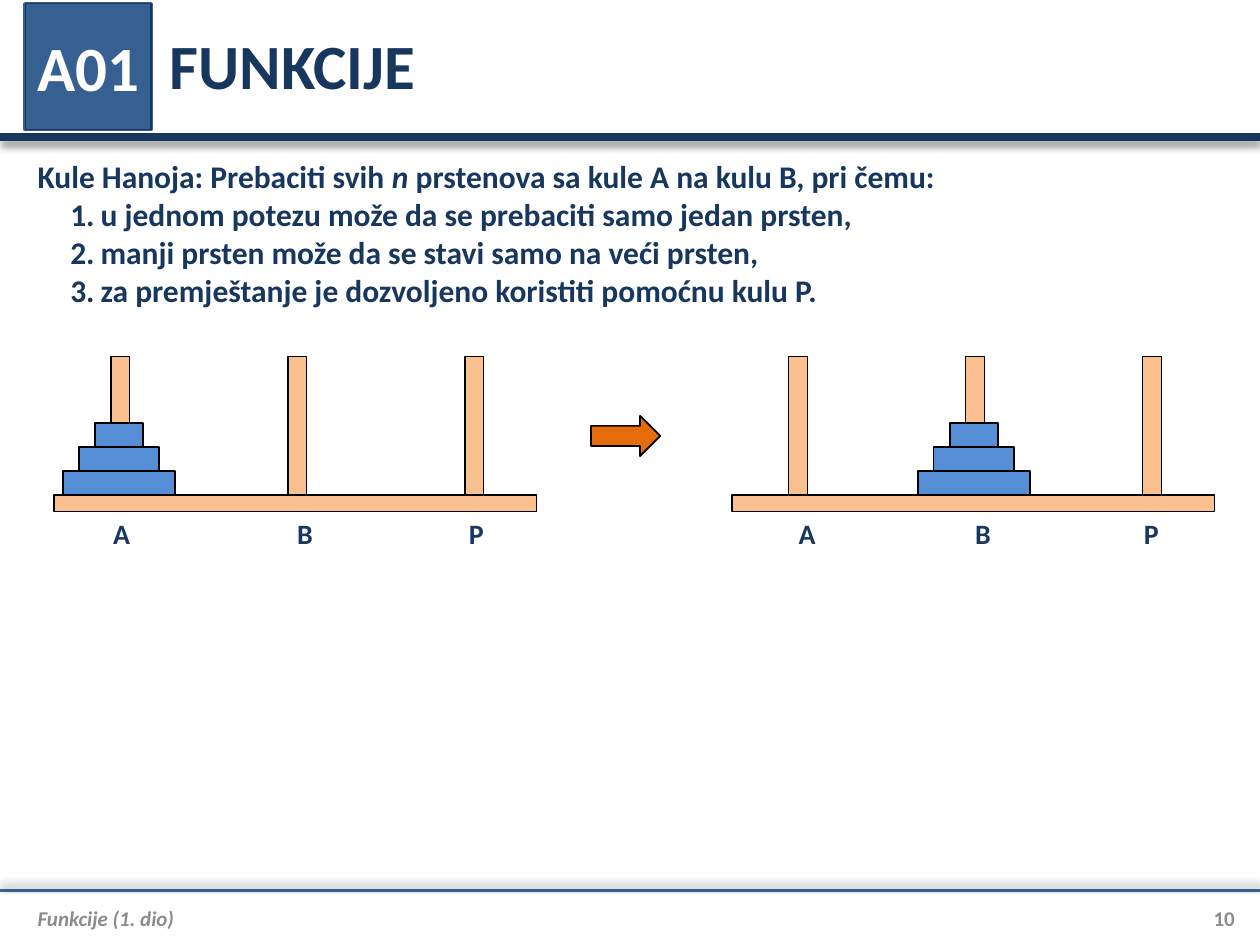
from lxml import etree
from pptx import Presentation, util as u
from pptx.dml.color import RGBColor
from pptx.enum import shapes, text
from pptx.oxml import ns, parse_xml

NAVY = RGBColor(0x17, 0x37, 0x5E)
BLUE = RGBColor(0x37, 0x60, 0x92)
FRAME = RGBColor(0x3A, 0x5F, 0x8C)
BADGE = RGBColor(0x4F, 0x81, 0xBD)
RING = RGBColor(0x55, 0x8E, 0xD5)
WOOD = RGBColor(0xFA, 0xC0, 0x90)
ORANGE = RGBColor(0xE4, 0x6C, 0x0A)
GRAY = RGBColor(0x8C, 0x8C, 0x8C)
BLACK = RGBColor(0, 0, 0)
WHITE = RGBColor(0xFF, 0xFF, 0xFF)

COLUMNS, ROWS = 100, 75
RECTANGLE = shapes.MSO_SHAPE.RECTANGLE
PEG_STEP, PEG_WIDTH, PEG_HEIGHT = 14.05, 1.5, 11
RING_HEIGHT, RING_WIDTHS = 1.9, (8.9, 6.4, 3.8)
BOARD_TOP, BOARD_WIDTH, BOARD_HEIGHT = 39.3, 38.3, 1.3


class Canvas:
    font = "Calibri"

    def __init__(self, presentation):
        self.slide = presentation.slides.add_slide(presentation.slide_layouts[6])
        self.column = presentation.slide_width / COLUMNS
        self.row = presentation.slide_height / ROWS

    def place(self, left, top, width, height):
        """Turn columns and rows into slide lengths."""
        return [round(value * unit) for value, unit in
                zip((left, top, width, height), (self.column, self.row) * 2)]

    def rule(self, row, color, weight, shadow_angle):
        """Draw a line across the slide with a soft shadow."""
        start_x, y, end_x, _ = self.place(0, row, COLUMNS, 0)
        line = self.slide.shapes.add_connector(
            shapes.MSO_CONNECTOR.STRAIGHT, start_x, y, end_x, y)
        line.line.color.rgb = color
        line.line.width = u.Pt(weight)
        line._element.spPr.append(parse_xml(
            f'<a:effectLst {ns.nsdecls("a")}><a:outerShdw blurRad="{u.Pt(4)}" '
            f'dist="{u.Pt(3)}" dir="{shadow_angle * 60000}" rotWithShape="0">'
            '<a:srgbClr val="000000"><a:alpha val="40000"/></a:srgbClr>'
            '</a:outerShdw></a:effectLst>'))

    def shape(self, box, fill, line=BLACK, weight=0.75, kind=RECTANGLE, parent=None):
        shape = (parent or self.slide).shapes.add_shape(kind, *self.place(*box))
        shape.shadow.inherit = False
        shape.fill.solid()
        shape.fill.fore_color.rgb = fill
        shape.line.color.rgb = line
        shape.line.width = u.Pt(weight)
        return shape

    def textbox(self, box, paragraphs, parent=None, **style):
        shape = (parent or self.slide).shapes.add_textbox(*self.place(*box))
        self.add_text(shape, paragraphs, **style)
        return shape

    def add_text(self, shape, paragraphs, size, color=NAVY, italic=False,
                 align=text.PP_ALIGN.LEFT, frame_format=None):
        """Fill a shape; each paragraph is a list of runs, every second one italic."""
        frame = shape.text_frame
        settings = {"word_wrap": True, **(frame_format or {})}
        for name, value in settings.items():
            setattr(frame, name, value)
        for index, runs in enumerate(paragraphs):
            paragraph = frame.add_paragraph() if index else frame.paragraphs[0]
            paragraph.alignment = align
            for number, words in enumerate(runs):
                run = paragraph.add_run()
                run.text = words
                font = {"name": self.font, "size": u.Pt(size), "bold": True,
                        "italic": italic or number % 2 == 1}
                for name, value in font.items():
                    setattr(run.font, name, value)
                run.font.color.rgb = color

    def number(self, paragraph):
        properties = paragraph._p.get_or_add_pPr()
        properties.set("marL", str(u.Inches(0.5)))
        properties.set("indent", str(u.Inches(-0.24)))
        etree.SubElement(properties, ns.qn("a:buAutoNum"), type="arabicPeriod")

    def towers(self, left, ring_center, labels):
        """Draw a board with three pegs, a stack of rings and peg labels."""
        group = self.slide.shapes.add_group_shape()
        for index in range(3):
            self.shape((left + 4.5 + index * PEG_STEP, BOARD_TOP - PEG_HEIGHT,
                        PEG_WIDTH, PEG_HEIGHT), WOOD, parent=group)
        for level, width in enumerate(RING_WIDTHS, 1):
            self.shape((ring_center - width / 2, BOARD_TOP - level * RING_HEIGHT,
                        width, RING_HEIGHT), RING, weight=1, parent=group)
        for name, label_left, width in labels:
            self.textbox((label_left, 40.5, width, 3.7), [[name]], parent=group,
                         size=16, align=text.PP_ALIGN.CENTER)
        self.shape((left, BOARD_TOP, BOARD_WIDTH, BOARD_HEIGHT), WOOD, parent=group)


def main():
    presentation = Presentation()
    presentation.slide_width, presentation.slide_height = u.Inches(10), u.Inches(7.5)
    canvas = Canvas(presentation)
    middle = {"vertical_anchor": text.MSO_ANCHOR.MIDDLE}
    tight = {**middle, "margin_left": 0, "margin_right": 0,
             "margin_top": 0, "margin_bottom": 0}

    canvas.rule(10.9, NAVY, 4.5, 90)
    canvas.rule(70.7, BLUE, 1.5, 270)

    badge_box = (2, 0.3, 10, 10)
    canvas.shape(badge_box, BADGE, FRAME, 2)
    canvas.textbox((12.5, 0.1, 85.5, 10), [["FUNKCIJE"]], size=36, frame_format=middle)
    canvas.textbox((2, 71.1, 91, 3.5), [["Funkcije (1. dio)"]], size=12, color=GRAY,
                   italic=True, frame_format={**tight, "margin_left": u.Inches(0.1)})
    canvas.textbox((93, 71.1, 5, 3.5), [["10"]], size=12, color=GRAY,
                   align=text.PP_ALIGN.RIGHT, frame_format=tight)
    badge = canvas.shape(badge_box, BLUE, NAVY)
    canvas.add_text(badge, [["A01"]], size=36, color=WHITE,
                    align=text.PP_ALIGN.CENTER, frame_format=tight)

    rules = canvas.textbox((2, 12, 96, 13.1), [
        ["Kule Hanoja: Prebaciti svih ", "n", " prstenova sa kule A na kulu B, pri čemu:"],
        ["u jednom potezu može da se prebaciti samo jedan prsten,"],
        ["manji prsten može da se stavi samo na veći prsten,"],
        ["za premještanje je dozvoljeno koristiti pomoćnu kulu P."],
    ], size=18)
    for paragraph in rules.text_frame.paragraphs[1:]:
        canvas.number(paragraph)

    canvas.shape((46.9, 33, 5.5, 3.2), ORANGE, weight=1,
                 kind=shapes.MSO_SHAPE.RIGHT_ARROW)
    canvas.towers(4.3, 9.45, [("A", 8, 2.2), ("B", 22.6, 2.1), ("P", 36.1, 3.4)])
    canvas.towers(58.1, 77.3, [("A", 62.4, 2.2), ("B", 76.4, 2.2), ("P", 89.8, 3.1)])
    presentation.save("out.pptx")


if __name__ == "__main__":
    main()
